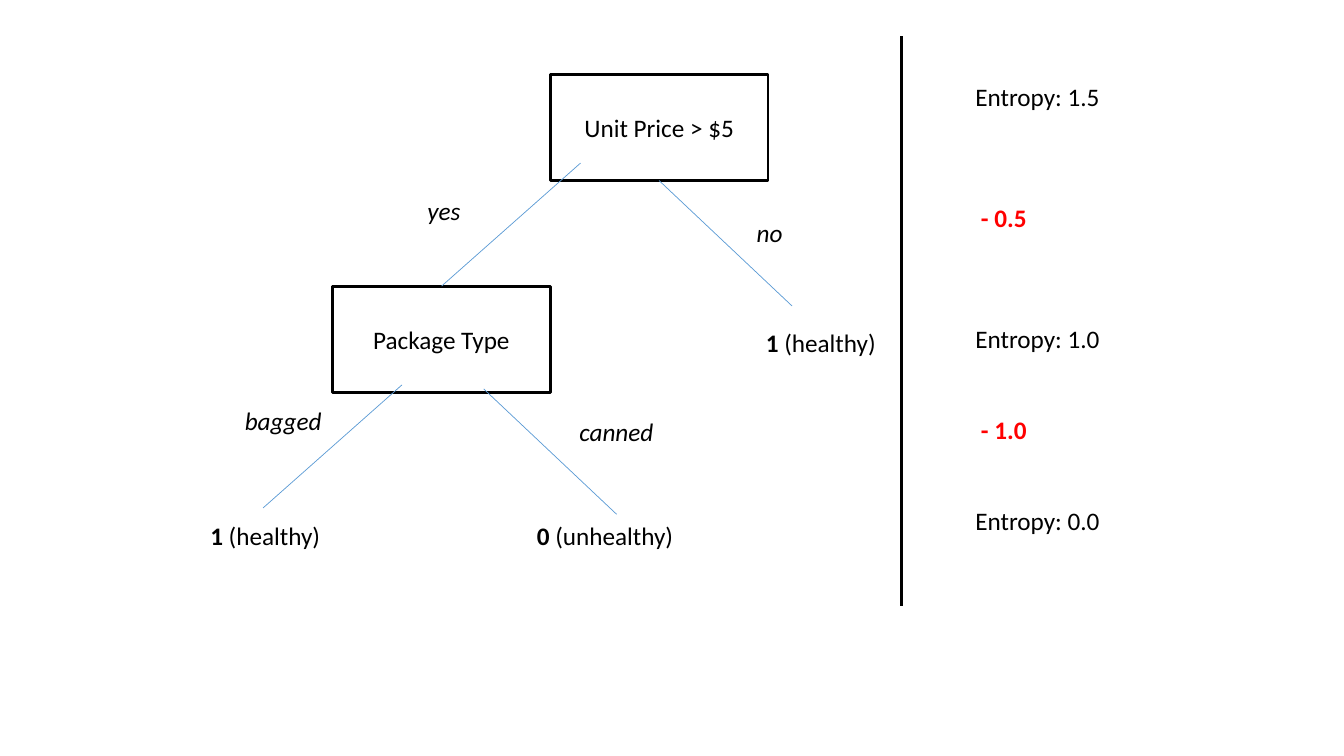
from dataclasses import dataclass

from lxml import etree
from pptx import Presentation
from pptx.dml.color import RGBColor
from pptx.enum.shapes import MSO_CONNECTOR, MSO_SHAPE
from pptx.enum.text import MSO_ANCHOR, MSO_AUTO_SIZE, PP_ALIGN
from pptx.oxml.ns import qn
from pptx.util import Cm, Pt

STRAIGHT = MSO_CONNECTOR.STRAIGHT
RECTANGLE = MSO_SHAPE.RECTANGLE
MIDDLE, TOP = MSO_ANCHOR.MIDDLE, MSO_ANCHOR.TOP
CENTER, LEFT = PP_ALIGN.CENTER, PP_ALIGN.LEFT
FIT_SHAPE = MSO_AUTO_SIZE.SHAPE_TO_FIT_TEXT


@dataclass(frozen=True)
class Theme:
    font: str = "Calibri"
    text_size: float = 18
    line_height: float = 21.6
    ink: RGBColor = RGBColor(0, 0, 0)
    drop: RGBColor = RGBColor(255, 0, 0)
    branch: RGBColor = RGBColor(0x5B, 0x9B, 0xD5)
    node_line: float = 1.75
    branch_line: float = 0.5
    divider_line: float = 2.25


@dataclass(frozen=True)
class Box:
    left: float
    top: float
    width: float
    height: float

    def place(self, left, top, width, height):
        return Box(self.left + left, self.top + top, width, height)

    def lengths(self):
        return Cm(self.left), Cm(self.top), Cm(self.width), Cm(self.height)


THEME = Theme()


def add_text(paragraph, text, color=THEME.ink, bold=False, italic=False,
             align=LEFT, space_before=0):
    paragraph.alignment = align
    paragraph.space_before = Pt(space_before)
    run = paragraph.add_run()
    run.text = text
    run.font.name = THEME.font
    run.font.size = Pt(THEME.text_size)
    run.font.color.rgb = color
    run.font.bold = bold
    run.font.italic = italic


def add_text_frame(slide, box, wrap=False):
    text_frame = slide.shapes.add_textbox(*box.lengths()).text_frame
    text_frame.word_wrap = wrap
    text_frame.auto_size = FIT_SHAPE
    text_frame.vertical_anchor = TOP
    return text_frame


def add_line(slide, box, color, weight):
    connector = slide.shapes.add_connector(
        STRAIGHT, Cm(box.left), Cm(box.top),
        Cm(box.left + box.width), Cm(box.top + box.height))
    connector.line.color.rgb = color
    connector.line.width = Pt(weight)
    properties = connector._element.find(qn("p:spPr"))
    etree.SubElement(properties, qn("a:effectLst"))


def add_node(slide, box, text):
    shape = slide.shapes.add_shape(RECTANGLE, *box.lengths())
    shape.shadow.inherit = False
    shape.fill.background()
    shape.line.color.rgb = THEME.ink
    shape.line.width = Pt(THEME.node_line)
    shape.text_frame.vertical_anchor = MIDDLE
    add_text(shape.text_frame.paragraphs[0], text, align=CENTER)


def add_decision_tree(slide, box):
    node_width, node_height, label_height = 5.49, 2.67, 1.02
    root_left = 8.82
    nodes = [("Unit Price > $5", root_left, 0),
             ("Package Type", root_left - node_width, 2 * node_height)]
    to_left, to_right = (-3.5, 3.1), (3.35, 3.16)
    branches = [(9.58, 2.23, to_left), (11.56, 2.67, to_right),
                (5.08, 7.82, to_left), (7.14, 7.92, to_right)]
    answers = [("yes", 5.47, 2.92, 1.35), ("no", 13.77, 3.48, 1.19),
               ("bagged", 0.87, 8.2, 2.46), ("canned", 9.3, 8.48, 2.41)]
    leaves = [("1", " (healthy)", 14, 6.25, 3.33),
              ("1", " (healthy)", 0, 11.1, 3.33),
              ("0", " (unhealthy)", 8.23, 11.1, 3.99)]

    for text, left, top in nodes:
        add_node(slide, box.place(left, top, node_width, node_height), text)
    for left, top, span in branches:
        add_line(slide, box.place(left, top, *span), THEME.branch, THEME.branch_line)
    for text, left, top, width in answers:
        text_frame = add_text_frame(slide, box.place(left, top, width, label_height))
        add_text(text_frame.paragraphs[0], text, italic=True)
    for value, meaning, left, top, width in leaves:
        text_frame = add_text_frame(slide, box.place(left, top, width, label_height))
        add_text(text_frame.paragraphs[0], value, bold=True)
        add_text(text_frame.paragraphs[0], meaning)


def add_entropy_column(slide, box):
    steps = [("Entropy: 1.5", 0), (" - 0.5", 3), ("Entropy: 1.0", 3),
             (" - 1.0", 2), ("Entropy: 0.0", 2)]
    text_frame = add_text_frame(slide, box, wrap=True)
    for index, (text, lines_before) in enumerate(steps):
        paragraph = text_frame.add_paragraph() if index else text_frame.paragraphs[0]
        is_drop = index % 2 == 1
        add_text(paragraph, text, bold=is_drop,
                 color=THEME.drop if is_drop else THEME.ink,
                 space_before=lines_before * THEME.line_height)


def main():
    presentation = Presentation()
    presentation.slide_width = Cm(33.87)
    presentation.slide_height = Cm(19.05)
    blank_layout = presentation.slide_layouts[6]
    slide = presentation.slides.add_slide(blank_layout)
    add_decision_tree(slide, Box(5.05, 1.88, 17.33, 12.12))
    add_entropy_column(slide, Box(24.33, 1.93, 5.87, 11.79))
    add_line(slide, Box(22.71, 0.91, 0, 14.35), THEME.ink, THEME.divider_line)
    presentation.save("out.pptx")


main()
